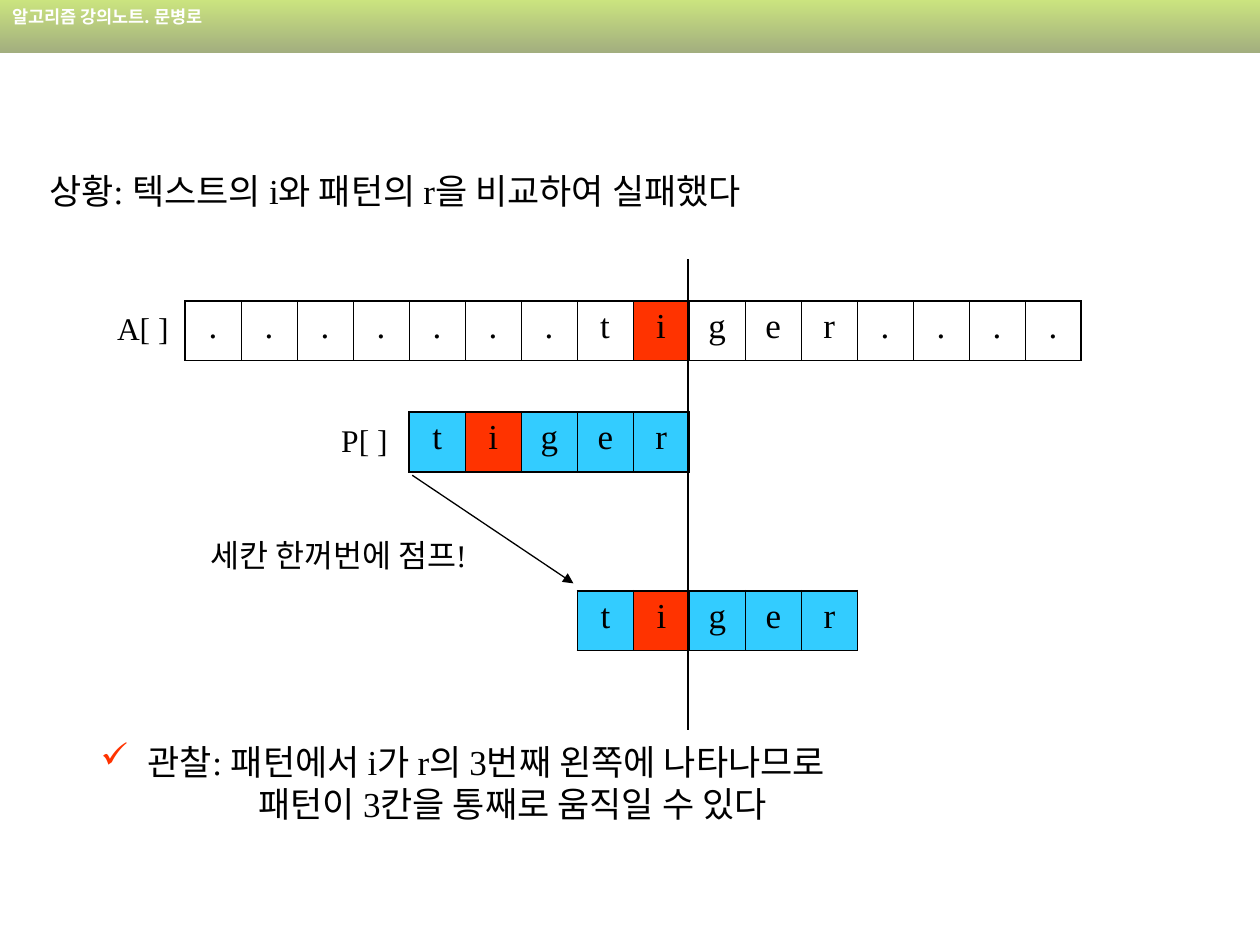
from dataclasses import dataclass

from lxml.etree import SubElement
from pptx import Presentation
from pptx.dml.color import RGBColor as Rgb
from pptx.enum.shapes import MSO_CONNECTOR as Link, MSO_SHAPE as Preset
from pptx.enum.text import MSO_ANCHOR as Anchor, MSO_AUTO_SIZE as Fit, PP_ALIGN as Align
from pptx.oxml.ns import qn
from pptx.util import Cm, Pt


@dataclass(frozen=True)
class Theme:
    black: str = "000000"
    white: str = "FFFFFF"
    match: str = "FF3300"
    pattern: str = "33CCFF"
    band_top: str = "99CC00"
    band_bottom: str = "475E00"
    latin: str = "Times New Roman"
    korean: str = "Noto Sans CJK KR"
    header: float = 10
    label: float = 18
    body: float = 20
    thin: float = 0.45
    thick: float = 1.08
    rule: float = 0.75


theme = Theme()


def write(para, text, size, color=theme.black, latin=theme.latin, bold=False):
    span = para.add_run()
    span.text = text
    for name, value in {"size": Pt(size), "bold": bold, "name": latin}.items():
        setattr(span.font, name, value)
    span.font.color.rgb = Rgb.from_string(color)
    SubElement(span.font._element, qn("a:ea"), typeface=theme.korean)


def add_line(start, end):
    line = page.shapes.add_connector(Link.STRAIGHT, *map(Cm, start + end))
    line.line.width = Pt(theme.rule)
    line.line.color.rgb = Rgb.from_string(theme.black)
    SubElement(line._element.spPr, qn("a:effectLst"))
    return line


deck = Presentation()
deck.slide_width, deck.slide_height = Cm(25.4), Cm(19.05)
page = deck.slides.add_slide(deck.slide_layouts[6])

# Header band, half transparent
band = page.shapes.add_shape(Preset.RECTANGLE, 0, 0, deck.slide_width, Cm(1.07))
band.shadow.inherit = False
band.line.fill.background()
band.fill.gradient()
band.fill.gradient_angle = 270
for stop, color in zip(band.fill.gradient_stops, (theme.band_top, theme.band_bottom)):
    stop.color.rgb = Rgb.from_string(color)
for color in band._element.spPr.iter(qn("a:srgbClr")):
    SubElement(color, qn("a:alpha"), val="50000")
band.text_frame.vertical_anchor = Anchor.TOP
para = band.text_frame.paragraphs[0]
para.alignment = Align.LEFT
write(para, "알고리즘 강의노트. 문병로", theme.header, theme.white, theme.korean, True)

# Letter strips on a common column grid: start column, top, letters, fill
cell_width, cell_height, grid_left = 1.13, 1.2, 3.73
strips = [
    (0, 6.07, ".......tiger....", None),
    (4, 8.31, "tiger", theme.pattern),
    (7, 11.91, "tiger", theme.pattern),
]
for column, top, letters, base in strips:
    count = len(letters)
    table = page.shapes.add_table(
        1, count, Cm(grid_left + column * cell_width), Cm(top),
        Cm(count * cell_width), Cm(cell_height)).table
    table.first_row = table.horz_banding = False
    for index, letter in enumerate(letters):
        table.columns[index].width = Cm(cell_width)
        cell = table.cell(0, index)
        borders = {
            "a:lnL": theme.thin if index else theme.thick,
            "a:lnR": theme.thin if index < count - 1 else theme.thick,
            "a:lnT": theme.thick,
            "a:lnB": theme.thick,
        }
        for side, width in borders.items():
            border = SubElement(cell._tc.get_or_add_tcPr(), qn(side), w=str(Pt(width)))
            SubElement(SubElement(border, qn("a:solidFill")), qn("a:srgbClr"), val=theme.black)
        color = theme.match if letter == "i" else base
        if color:
            cell.fill.solid()
            cell.fill.fore_color.rgb = Rgb.from_string(color)
        else:
            cell.fill.background()
        para = cell.text_frame.paragraphs[0]
        para.alignment = Align.CENTER
        write(para, letter, theme.body)

# Jump arrow and comparison line
arrow = add_line((8.31, 9.58), (11.56, 11.76))
SubElement(arrow.line._get_or_add_ln(), qn("a:tailEnd"), type="triangle")
add_line((13.87, 5.23), (13.87, 14.71))

# Texts: left, top, width, height, wrap, size, line spacing, lines
texts = [
    (3.99, 10.69, 5.89, 1.02, False, theme.label, 1.0, ["세칸 한꺼번에 점프!"]),
    (2.11, 6.1, 1.55, 1.02, False, theme.label, 1.0, ["A[ ]"]),
    (6.63, 8.36, 1.68, 1.02, True, theme.label, 1.0, ["P[ ]"]),
    (0.74, 3.45, 17.58, 0.94, False, theme.body, 0.8,
     ["상황: 텍스트의 i와 패턴의 r을 비교하여 실패했다"]),
    (1.78, 14.96, 17.96, 1.8, True, theme.body, 0.8,
     ["관찰: 패턴에서 i가 r의 3번째 왼쪽에 나타나므로",
      "패턴이 3칸을 통째로 움직일 수 있다"]),
]
for left, top, width, height, wrap, size, spacing, lines in texts:
    box = page.shapes.add_textbox(Cm(left), Cm(top), Cm(width), Cm(height))
    frame = box.text_frame
    for name, value in {"word_wrap": wrap, "auto_size": Fit.SHAPE_TO_FIT_TEXT}.items():
        setattr(frame, name, value)
    for index, text in enumerate(lines):
        para = frame.add_paragraph() if index else frame.paragraphs[0]
        para.line_spacing = spacing
        if index:
            para.space_before = Pt(5)
        write(para, text, size)

# Check mark on the observation, second line indented below it
first, second = frame.paragraphs
props = first._p.get_or_add_pPr()
props.set("marL", str(Cm(0.95)))
props.set("indent", str(-Cm(0.95)))
SubElement(SubElement(props, qn("a:buClr")), qn("a:srgbClr"), val=theme.match)
SubElement(props, qn("a:buChar"), char="✓")
second._p.get_or_add_pPr().set("marL", str(Cm(3.18)))

deck.save("out.pptx")
